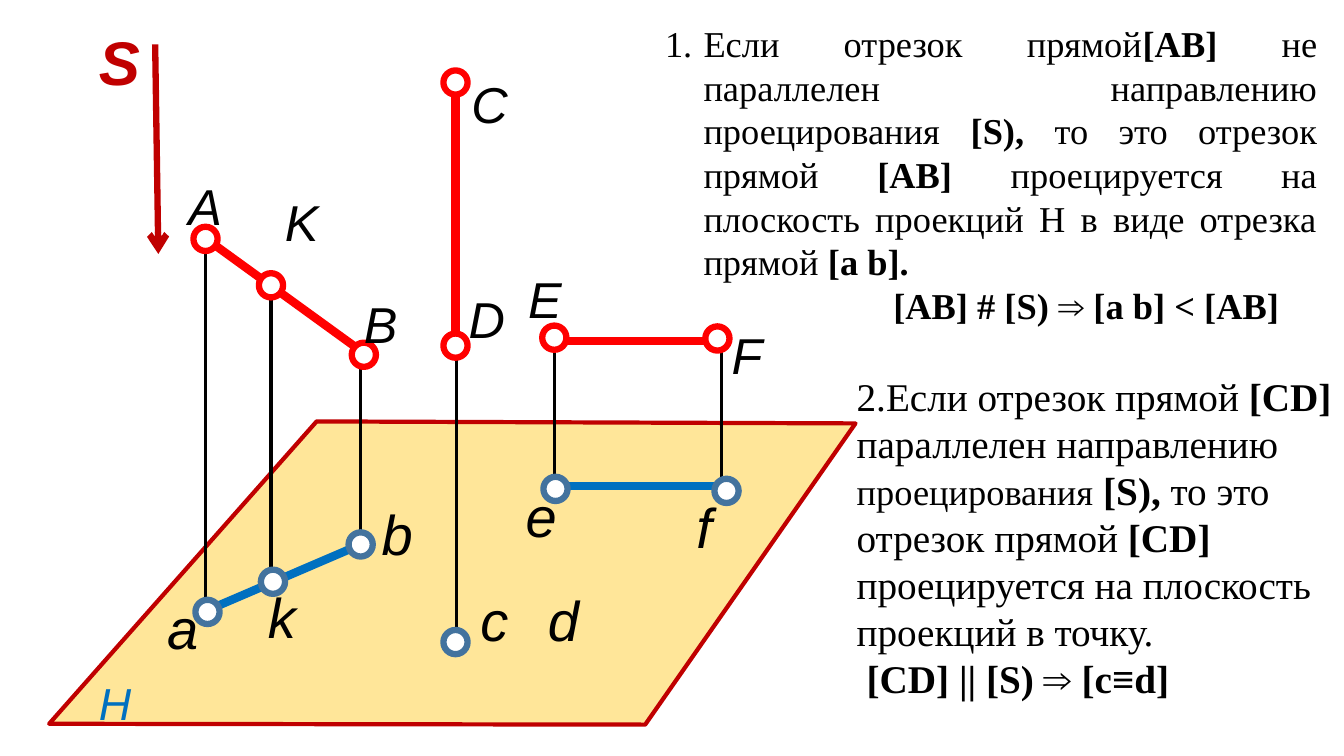
from lxml import etree
from pptx import Presentation
from pptx.dml.color import RGBColor
from pptx.enum import shapes, text
from pptx.oxml import ns
from pptx.util import Cm, Pt

RED, BLUE, RING, BLACK = "FF0000", "0070C0", "43739E", "000000"
DARK_RED, SAND, WHITE = "C00000", "FFE699", "FFFFFF"
SERIF, SANS = "Times New Roman", "Arial"
DIAMETER = 0.61

# All positions and lengths are in centimetres, text sizes in points.
PLANE = [(7.98, 10.62), (21.56, 10.67), (16.26, 18.26), (1.24, 18.24)]

# x, top, bottom
PROJECTORS = [
    (5.18, 5.92, 15.42), (6.83, 7.29, 14.81), (9.09, 8.84, 13.74),
    (11.51, 8.64, 16.05), (13.97, 8.59, 12.27), (18.19, 8.59, 12.24),
]
# start, end, colour
SEGMENTS = [
    ((9.09, 8.84), (5.13, 5.97), RED),
    ((11.48, 8.61), (11.48, 1.98), RED),
    ((18.19, 8.59), (13.87, 8.59), RED),
    ((18.19, 12.24), (13.87, 12.24), BLUE),
    ((9.09, 13.72), (5.13, 15.42), BLUE),
]
DIRECTION = ((3.91, 1.12), (3.99, 6.4))

# Ring colour: centres
POINTS = {
    RED: [(5.18, 6.02), (6.83, 7.19), (9.17, 8.94), (11.48, 2.08),
          (11.48, 8.71), (13.97, 8.51), (18.08, 8.53)],
    RING: [(5.23, 15.42), (6.88, 14.66), (9.09, 13.72), (11.48, 16.18),
           (14, 12.32), (18.31, 12.37)],
}
# letter, left, top
SPACE_LABELS = [
    ("A", 4.5, 4.29), ("K", 6.93, 4.7), ("B", 8.92, 7.26), ("C", 11.63, 1.73),
    ("D", 11.56, 7.14), ("E", 13.06, 6.63), ("F", 18.19, 8.05),
]
PLANE_LABELS = [
    ("a", 3.96, 14.83), ("k", 6.5, 14.55), ("b", 9.37, 12.47), ("c", 11.86, 14.63),
    ("d", 13.56, 14.63), ("e", 13, 12.01), ("f", 17.3, 12.29),
]

# Paragraphs are lists of runs; a run is (text, format changes).
BOLD = {"bold": True}
RULE_1 = [
    [("Если отрезок прямой", {}), ("[AB]", BOLD),
     (" не параллелен направлению проецирования ", {}), ("[S),", BOLD),
     (" то это отрезок прямой ", {}), ("[AB]", BOLD),
     (" проецируется на плоскость проекций Н в виде отрезка прямой ", {}),
     ("[a b].", BOLD)],
    [("[AB] # [S) ⇒ [a b] < [AB]", BOLD)],
]
RULE_2 = [
    [("2.Если отрезок прямой ", {}), ("[CD]", BOLD),
     (" параллелен направлению ", {}), ("проецирования", {"size": 26}),
     (" ", {}), ("[S),", BOLD), (" то это отрезок прямой ", {}), ("[CD]", BOLD),
     (" проецируется на плоскость проекций в точку.", {})],
    [("[CD] || [S) ⇒ [c≡d]", BOLD)],
]


def rgb(colour):
    return RGBColor.from_string(colour)


def add_text(slide, paragraphs, left, top, width, height, **style):
    """Add a text box; style gives the format of runs without their own."""
    box = slide.shapes.add_textbox(Cm(left), Cm(top), Cm(width), Cm(height))
    frame = box.text_frame
    frame.word_wrap = True
    for index, runs in enumerate(paragraphs):
        paragraph = frame.paragraphs[0] if index == 0 else frame.add_paragraph()
        for words, changes in runs:
            run_style = {**style, **changes}
            run = paragraph.add_run()
            run.text = words
            run.font.name = run_style["font"]
            run.font.size = Pt(run_style["size"])
            run.font.bold = run_style.get("bold", False)
            run.font.italic = run_style.get("italic", False)
            run.font.color.rgb = rgb(run_style.get("colour", BLACK))
    return box


def add_label(slide, letter, left, top, size, **style):
    height = size * 0.042 + 0.25
    add_text(slide, [[(letter, {})]], left, top, 1.5, height,
             size=size, font=SANS, italic=True, **style)


def add_line(slide, start, end, colour, width):
    line = slide.shapes.add_connector(
        shapes.MSO_CONNECTOR.STRAIGHT, *map(Cm, start + end))
    line.line.color.rgb = rgb(colour)
    line.line.width = Pt(width)
    etree.SubElement(line._element.spPr, ns.qn("a:effectLst"))
    return line


def paint(shape, fill, outline, width):
    shape.shadow.inherit = False
    shape.fill.solid()
    shape.fill.fore_color.rgb = rgb(fill)
    shape.line.color.rgb = rgb(outline)
    shape.line.width = Pt(width)


def set_indent(paragraph, margin, first=0):
    properties = paragraph._p.get_or_add_pPr()
    properties.set("marL", str(Cm(margin)))
    properties.set("indent", str(Cm(first)))
    return properties


def add_rules(slide):
    rule_1 = add_text(slide, RULE_1, 16.51, 0.41, 16.94, 10.26, size=26, font=SERIF)
    rule_1.fill.solid()
    rule_1.fill.fore_color.rgb = rgb(WHITE)
    statement, formula = rule_1.text_frame.paragraphs
    numbering = set_indent(statement, 0.97, -0.97)
    etree.SubElement(numbering, ns.qn("a:buFont"), typeface="+mj-lt")
    etree.SubElement(numbering, ns.qn("a:buAutoNum"), type="arabicPeriod")
    statement.alignment = text.PP_ALIGN.JUSTIFY
    set_indent(formula, 4.8)
    formula.alignment = text.PP_ALIGN.CENTER

    rule_2 = add_text(slide, RULE_2, 21.34, 9.25, 13.94, 9.83, size=28, font=SERIF)
    set_indent(rule_2.text_frame.paragraphs[1], 0.25)


def add_drawing(slide):
    corners = [(Cm(x), Cm(y)) for x, y in PLANE]
    outline = slide.shapes.build_freeform(*corners[0])
    outline.add_line_segments(corners[1:], close=True)
    paint(outline.convert_to_shape(), SAND, DARK_RED, 3)

    for x, top, bottom in PROJECTORS:
        add_line(slide, (x, top), (x, bottom), BLACK, 2.25)
    for start, end, colour in SEGMENTS:
        add_line(slide, start, end, colour, 6)
    arrow = add_line(slide, *DIRECTION, DARK_RED, 4.5)
    etree.SubElement(arrow.line._get_or_add_ln(), ns.qn("a:tailEnd"), type="arrow")

    for colour, centres in POINTS.items():
        for x, y in centres:
            ring = slide.shapes.add_shape(
                shapes.MSO_SHAPE.OVAL, Cm(x - DIAMETER / 2), Cm(y - DIAMETER / 2),
                Cm(DIAMETER), Cm(DIAMETER))
            paint(ring, WHITE, colour, 4.5)

    for labels, size in ((SPACE_LABELS, 36), (PLANE_LABELS, 40)):
        for letter, left, top in labels:
            add_label(slide, letter, left, top, size)
    add_label(slide, "S", 2.24, 0.48, 44, colour=DARK_RED, bold=True)
    add_label(slide, "H", 2.24, 16.89, 32, colour=BLUE)


def main():
    presentation = Presentation()
    presentation.slide_width, presentation.slide_height = Cm(33.87), Cm(19.05)
    slide = presentation.slides.add_slide(presentation.slide_layouts[6])
    add_rules(slide)
    add_drawing(slide)
    presentation.save("out.pptx")


if __name__ == "__main__":
    main()
